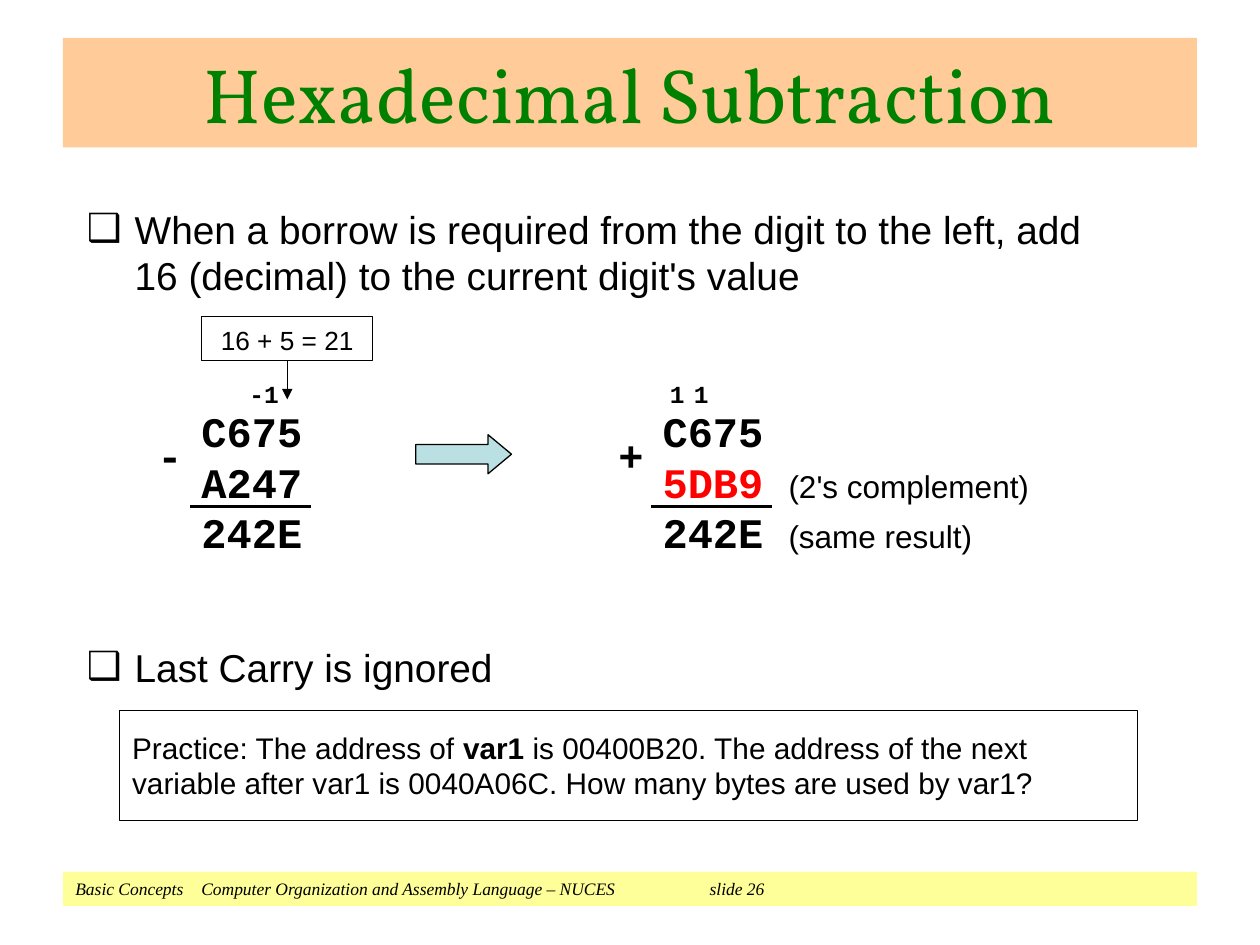
from lxml import etree
from pptx import Presentation
from pptx.dml.color import RGBColor
from pptx.enum.shapes import MSO_CONNECTOR, MSO_SHAPE
from pptx.enum.text import MSO_ANCHOR as ANCHOR, PP_ALIGN as ALIGN
from pptx.oxml.ns import qn
from pptx.util import Inches, Pt

COLORS = {
    "text": "000000", "title": "008000", "title_bar": "FFCC99",
    "footer_bar": "FFFF99", "paper": "FFFFFF", "arrow": "BBE0E3",
    "highlight": "FF0000",
}
MONO = {"size": 24, "font": "Courier New", "bold": True}
NOTE = {"size": 18}
CARRY = {"size": 14, "font": "Courier New", "bold": True}


def rgb(name):
    return RGBColor.from_string(COLORS[name])


def add_run(p, text, size=18, font="Arial", color="text", bold=False, italic=False):
    r = p.add_run()
    r.text = text
    f = r.font
    f.size, f.name, f.bold, f.italic = Pt(size), font, bold, italic
    f.color.rgb = rgb(color)


def set_frame(sp, margins, anchor=ANCHOR.TOP):
    tf = sp.text_frame
    tf.word_wrap = True
    tf.vertical_anchor = anchor
    tf.margin_left = tf.margin_right = Inches(margins[0])
    tf.margin_top = tf.margin_bottom = Inches(margins[1])
    return tf


def fill_text(tf, paragraphs, align=ALIGN.LEFT):
    """Each paragraph is a list of (text, format) runs."""
    for i, runs in enumerate(paragraphs):
        p = tf.add_paragraph() if i else tf.paragraphs[0]
        p.alignment = align
        for text, fmt in runs:
            add_run(p, text, **fmt)


def add_text(s, box, paragraphs, margins=(0.1, 0.15), anchor=ANCHOR.TOP, align=ALIGN.LEFT):
    sp = s.shapes.add_textbox(*map(Inches, box))
    fill_text(set_frame(sp, margins, anchor), paragraphs, align)
    return sp


def add_block(s, box, kind=MSO_SHAPE.RECTANGLE, fill=None, line=None):
    sp = s.shapes.add_shape(kind, *map(Inches, box))
    sp.shadow.inherit = False
    if fill:
        sp.fill.solid()
        sp.fill.fore_color.rgb = rgb(fill)
    else:
        sp.fill.background()
    if line:
        sp.line.color.rgb = rgb(line)
        sp.line.width = Pt(0.75)
    else:
        sp.line.fill.background()
    return sp


def add_line(s, start, end, width):
    cn = s.shapes.add_connector(MSO_CONNECTOR.STRAIGHT, *map(Inches, start + end))
    cn.line.color.rgb = rgb("text")
    cn.line.width = Pt(width)
    etree.SubElement(cn._element.spPr, qn("a:effectLst"))
    return cn


def add_tabs(p, stops):
    tabs = etree.SubElement(p._p.get_or_add_pPr(), qn("a:tabLst"))
    for stop in stops:
        etree.SubElement(tabs, qn("a:tab"), pos=str(Inches(stop)), algn="l")


def add_bullet(p, char, indent):
    pPr = p._p.get_or_add_pPr()
    pPr.set("marL", str(Inches(indent)))
    pPr.set("indent", str(-Inches(indent)))
    etree.SubElement(pPr, qn("a:buFont"), typeface="Arial")
    etree.SubElement(pPr, qn("a:buChar"), char=char)


def add_sum(s, x, width, sign, rows):
    """Column of hex numbers with its sign and the rule above the result."""
    add_text(s, (x, 3.07, width, 1.5), rows)
    add_text(s, (x - 0.35, 3.26, 0.33, 0.7), [[(sign, MONO)]])
    add_line(s, (x + 0.01, 4.02), (x + 0.97, 4.02), 1.5)


def add_carry(s, x, text, align=ALIGN.CENTER):
    add_text(s, (x, 3.01, 0.25, 0.23), [[(text, CARRY)]],
             margins=(0, 0), anchor=ANCHOR.MIDDLE, align=align)


def main():
    prs = Presentation()
    prs.slide_width, prs.slide_height = Inches(10), Inches(7.5)
    s = prs.slides.add_slide(prs.slide_layouts[6])

    # Footer bar
    footer = add_block(s, (0.5, 6.92, 9, 0.27), fill="footer_bar")
    tf = set_frame(footer, (0.1, 0.05))
    fill_text(tf, [[(
        "Basic Concepts\tComputer Organization and Assembly Language – NUCES\t slide 26",
        {"size": 10, "font": "Times New Roman", "italic": True})]])
    add_tabs(tf.paragraphs[0], (1, 5))

    # Title bar
    title = add_block(s, (0.5, 0.3, 9, 0.87), fill="title_bar")
    fill_text(set_frame(title, (0.1, 0.05), ANCHOR.MIDDLE), [[(
        "Hexadecimal Subtraction", {"size": 44, "font": "Vollkorn", "color": "title"})]],
        ALIGN.CENTER)

    # Bulleted points, above and below the worked example
    points = ("When a borrow is required from the digit to the left, "
              "add 16 (decimal) to the current digit's value",
              "Last Carry is ignored")
    body = add_text(s, (0.59, 1.58, 8.51, 3.82),
                    [[(text, {"size": 22.2})] for text in points], margins=(0.1, 0.05))
    paragraphs = body.text_frame.paragraphs
    paragraphs[1].space_before = Pt(197)
    for p in paragraphs:
        add_bullet(p, "❑", 0.38)

    # Practice question
    practice = add_block(s, (0.95, 5.64, 8.08, 0.87), line="text")
    fill_text(set_frame(practice, (0.1, 0.15)), [[
        ("Practice: The address of ", {"size": 17}),
        ("var1", {"size": 17, "bold": True}),
        (" is 00400B20. The address of the next variable after var1 is 0040A06C. "
         "How many bytes are used by var1?", {"size": 17})]])

    # Direct subtraction with its borrow
    add_sum(s, 1.5, 1.61, "-", [[(n, MONO)] for n in ("C675", "A247", "242E")])
    add_carry(s, 1.98, "-1", ALIGN.LEFT)
    borrow = add_block(s, (1.6, 2.51, 1.36, 0.35), fill="paper", line="text")
    tf = set_frame(borrow, (0.1, 0.04), ANCHOR.MIDDLE)
    fill_text(tf, [[("16 + 5 = 21", {"size": 15})]], ALIGN.CENTER)
    tf.paragraphs[0].line_spacing = 1.1
    pointer = add_line(s, (2.28, 2.86), (2.28, 3.17), 0.75)
    pointer.begin_connect(borrow, 2)
    etree.SubElement(pointer.line._get_or_add_ln(), qn("a:tailEnd"), type="triangle")

    # Arrow to the equivalent addition
    arrow = add_block(s, (3.3, 3.45, 0.76, 0.31), MSO_SHAPE.RIGHT_ARROW, "arrow", "text")
    arrow.adjustments[1] = 0.6

    # Addition of the two's complement with its carries
    add_sum(s, 5.16, 3.18, "+", [
        [("C675", MONO)],
        [("5DB9 ", {**MONO, "color": "highlight"}), ("(2's complement)", NOTE)],
        [("242E ", MONO), ("(same result)", NOTE)]])
    for x in (5.25, 5.44):
        add_carry(s, x, "1")

    prs.save("out.pptx")


if __name__ == "__main__":
    main()
